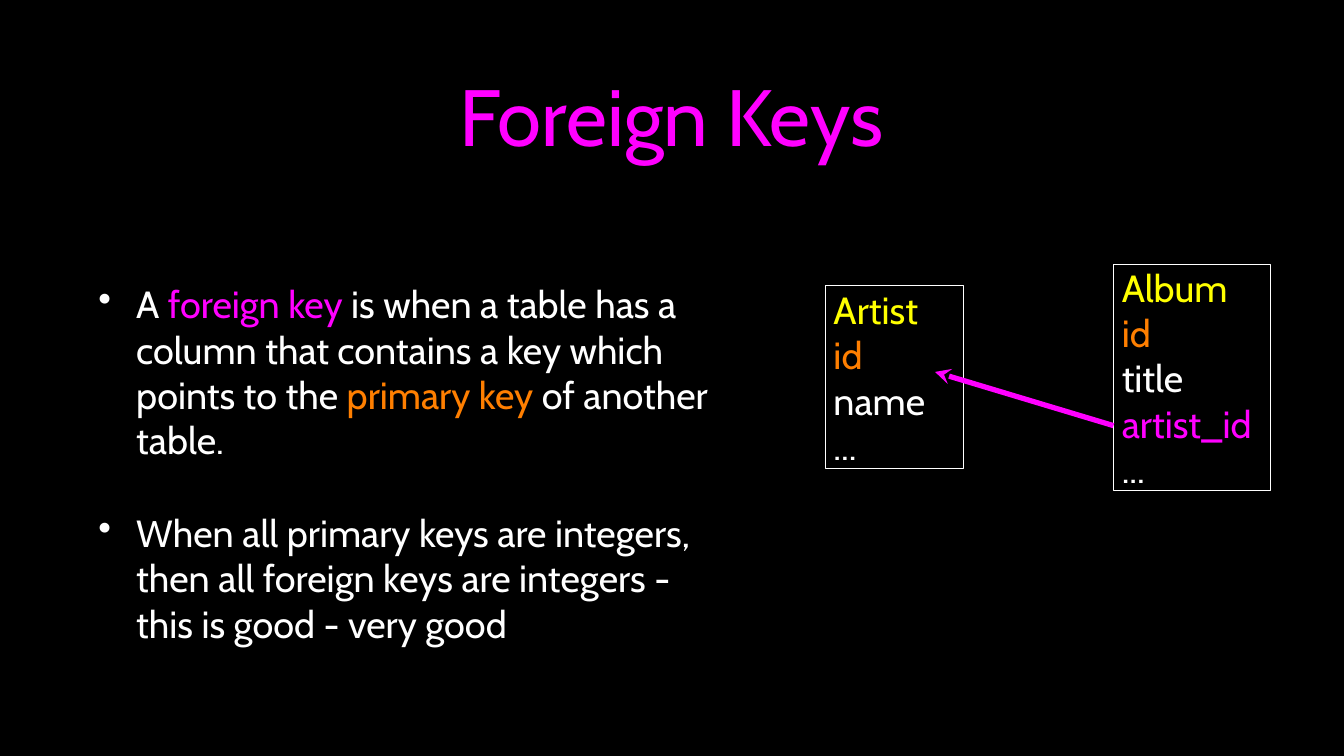
"""Build the Foreign Keys slide: an explanation beside two linked table boxes."""
import pptx
import pptx.util
import pptx.dml.color
import pptx.enum.shapes
import pptx.enum.text
import pptx.oxml.ns
import lxml.etree

COLORS = {
    "background": "000000",
    "text": "FFFFFF",
    "foreign": "FF00FF",
    "primary": "FF7F00",
    "table": "FFFF00",
}
FONT = "Cabin"
BODY_SIZE = 36

presentation = pptx.Presentation()
presentation.slide_width = pptx.util.Inches(17.78)
presentation.slide_height = pptx.util.Inches(10)
slide = presentation.slides.add_slide(presentation.slide_layouts[6])
slide.background.fill.solid()
slide.background.fill.fore_color.rgb = pptx.dml.color.RGBColor.from_string(COLORS["background"])


def place(across, down):
    """Turn percentages of the slide's width and height into lengths."""
    return (
        int(presentation.slide_width * across / 100),
        int(presentation.slide_height * down / 100),
    )


def write(shape, paragraphs, size, left_inset):
    """Fill a shape with paragraphs made of (text, color name) runs."""
    frame = shape.text_frame
    frame.word_wrap = True
    frame.vertical_anchor = pptx.enum.text.MSO_ANCHOR.MIDDLE
    frame.margin_left = pptx.util.Inches(left_inset)
    frame.margin_right = frame.margin_top = frame.margin_bottom = pptx.util.Inches(0.04)
    for index, pieces in enumerate(paragraphs):
        paragraph = frame.add_paragraph() if index else frame.paragraphs[0]
        paragraph.alignment = pptx.enum.text.PP_ALIGN.LEFT
        for text, color in pieces:
            run = paragraph.add_run()
            run.text = text
            run.font.name = FONT
            run.font.size = pptx.util.Pt(size)
            run.font.color.rgb = pptx.dml.color.RGBColor.from_string(COLORS[color])
    return frame.paragraphs


title = slide.shapes.add_textbox(*place(7.1, 2.6), *place(85.7, 25.1))
title_paragraphs = write(title, [[("Foreign Keys", "foreign")]], 76, 0.04)
title_paragraphs[0].alignment = pptx.enum.text.PP_ALIGN.CENTER

points = [
    [
        ("A", "text"),
        (" foreign key", "foreign"),
        (" is when a table has a column that contains a key which points to the ", "text"),
        ("primary key", "primary"),
        (" of another table.", "text"),
    ],
    [
        (
            "When all primary keys are integers, then all foreign keys "
            "are integers - this is good - very good",
            "text",
        )
    ],
]
body = slide.shapes.add_textbox(*place(7.1, 26.8), *place(47, 69))
for index, paragraph in enumerate(write(body, points, BODY_SIZE, 0.04)):
    properties = paragraph._p.get_or_add_pPr()
    properties.set("marL", str(pptx.util.Inches(0.5)))
    properties.set("indent", str(pptx.util.Inches(-0.5)))
    bullet_color = lxml.etree.SubElement(properties, pptx.oxml.ns.qn("a:buClr"))
    lxml.etree.SubElement(bullet_color, pptx.oxml.ns.qn("a:srgbClr"), val=COLORS["text"])
    lxml.etree.SubElement(properties, pptx.oxml.ns.qn("a:buChar"), char="•")
    paragraph.space_after = pptx.util.Pt(10)
    if index:
        paragraph.space_before = pptx.util.Pt(35)

tables = [
    (61.4, 37.8, 10.3, 24.2,
     [("Artist", "table"), ("id", "primary"), ("name", "text"), ("...", "text")]),
    (82.85, 35, 11.7, 29.9,
     [("Album", "table"), ("id", "primary"), ("title", "text"),
      ("artist_id", "foreign"), ("...", "text")]),
]
for left, top, width, height, rows in tables:
    box = slide.shapes.add_shape(
        pptx.enum.shapes.MSO_SHAPE.RECTANGLE, *place(left, top), *place(width, height)
    )
    box.shadow.inherit = False
    box.fill.background()
    box.line.color.rgb = pptx.dml.color.RGBColor.from_string(COLORS["text"])
    box.line.width = pptx.util.Pt(1)
    write(box, [[row] for row in rows], BODY_SIZE, 0.11)
    box.text_frame.margin_right = box.text_frame.margin_top = box.text_frame.margin_bottom = 0

arrow = slide.shapes.add_connector(
    pptx.enum.shapes.MSO_CONNECTOR.STRAIGHT, *place(69.57, 49.2), *place(82.85, 56.3)
)
arrow.line.color.rgb = pptx.dml.color.RGBColor.from_string(COLORS["foreign"])
arrow.line.width = pptx.util.Pt(5)
lxml.etree.SubElement(arrow.line._get_or_add_ln(), pptx.oxml.ns.qn("a:headEnd"), type="stealth")
lxml.etree.SubElement(arrow._element.spPr, pptx.oxml.ns.qn("a:effectLst"))

presentation.save("out.pptx")
